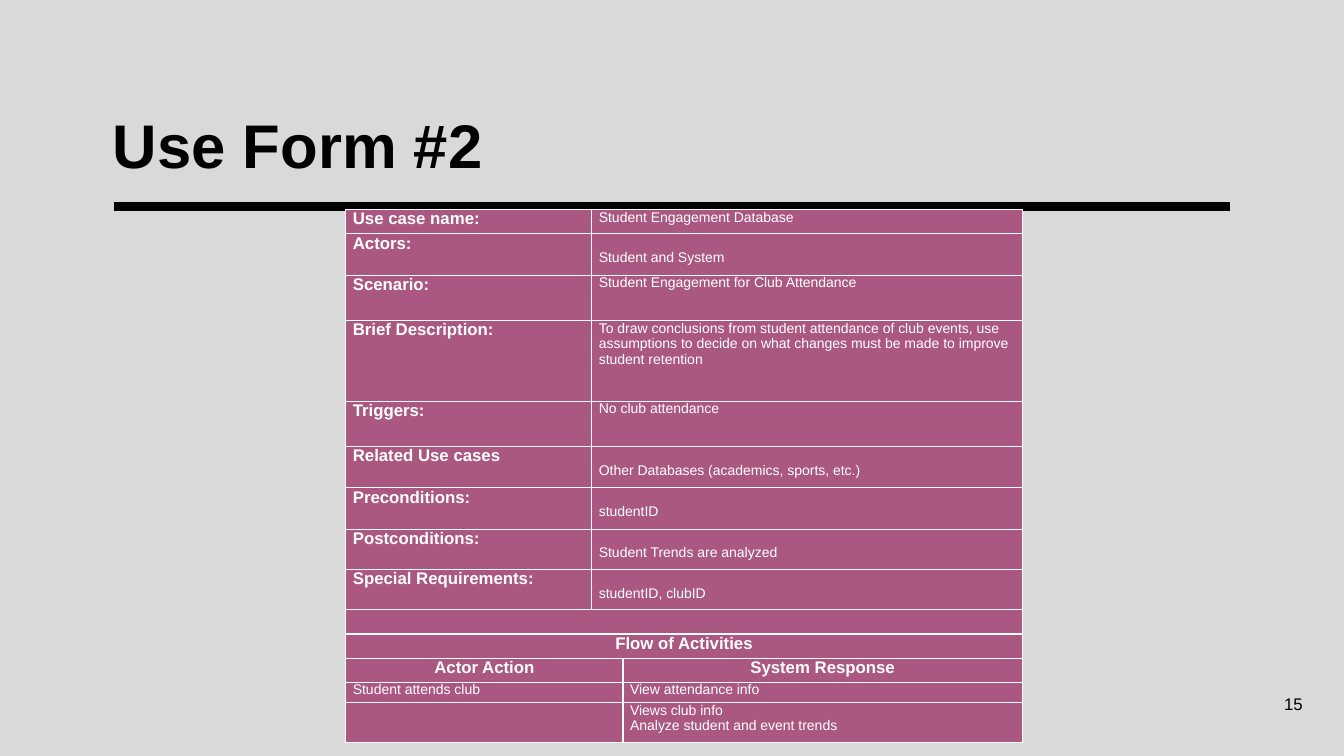
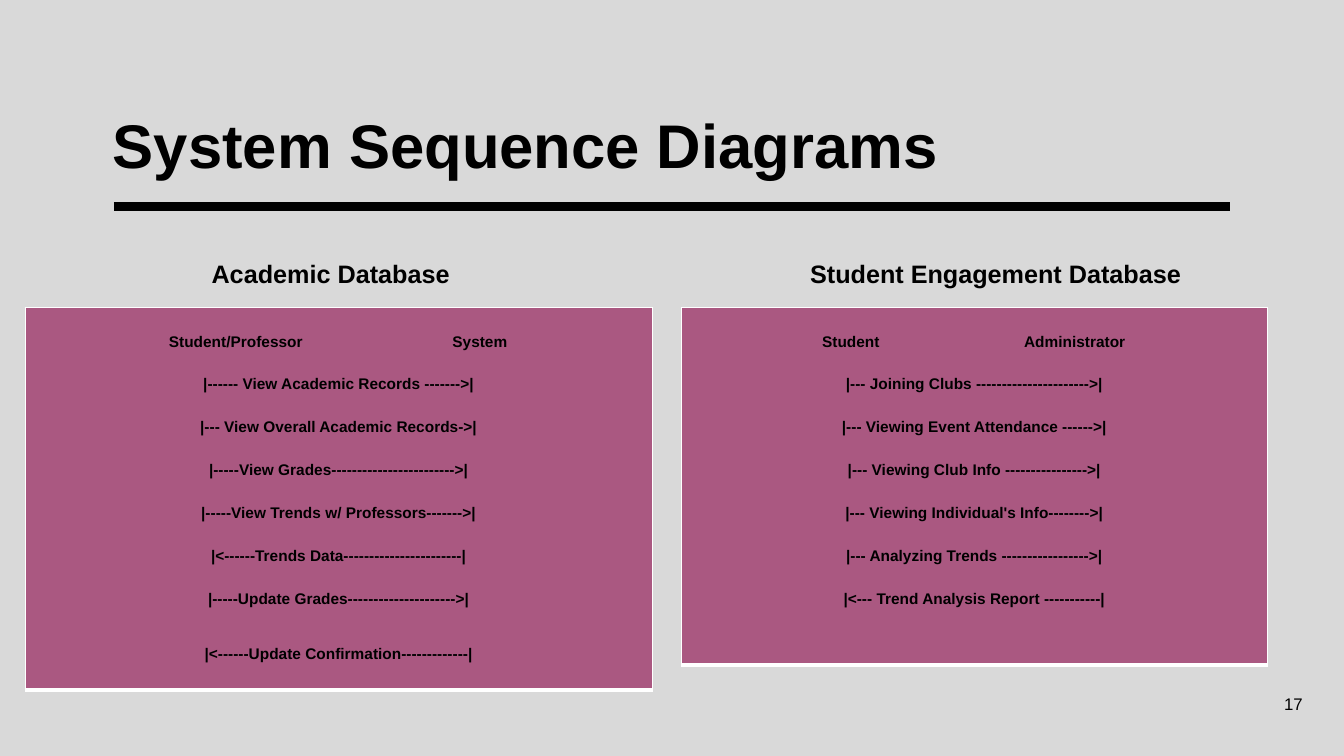
from dataclasses import dataclass
from enum import Enum

from lxml import etree
from pptx import Presentation
from pptx.dml.color import RGBColor
from pptx.enum.shapes import MSO_CONNECTOR
from pptx.enum.text import MSO_ANCHOR, MSO_AUTO_SIZE, PP_ALIGN
from pptx.oxml.ns import qn
from pptx.util import Inches, Pt

BACKGROUND = RGBColor(0xD9, 0xD9, 0xD9)
BLACK = RGBColor(0x00, 0x00, 0x00)
WHITE = RGBColor(0xFF, 0xFF, 0xFF)
PLUM = RGBColor(0xAA, 0x58, 0x81)
FONT = "Arial"
LINE_10PT = 0.16  # height of one line of small text, in inches


class Split(Enum):
    """Columns that a form row merges, first and last."""
    LABEL = (1, 2)
    FLOW = (0, 1)
    FULL = (0, 2)


@dataclass
class FormRow:
    height: float
    left: str
    right: str = ""
    split: Split = Split.LABEL
    drop: float = 0  # space above the right-hand text
    heading: bool = False


@dataclass
class Sequence:
    name: str
    name_left: float
    name_width: float
    left: float
    width: float
    actors: tuple[str, str]
    tabs: tuple[float, float]  # centres of the actor names
    messages: list[str]
    last_gap: float = 0


FORM_COLUMNS = (2.44, 0.31, 3.96)
FORM_ROWS = [
    FormRow(0.24, "Use case name:", "Student Engagement Database"),
    FormRow(0.41, "Actors:", "Student and System", drop=LINE_10PT),
    FormRow(0.45, "Scenario:", "Student Engagement for Club Attendance"),
    FormRow(0.8, "Brief Description:",
            "To draw conclusions from student attendance of club events, use "
            "assumptions to decide on what changes must be made to improve "
            "student retention"),
    FormRow(0.45, "Triggers:", "No club attendance"),
    FormRow(0.41, "Related Use cases",
            "Other Databases (academics, sports, etc.)", drop=LINE_10PT),
    FormRow(0.41, "Preconditions:", "studentID", drop=LINE_10PT),
    FormRow(0.4, "Postconditions:", "Student Trends are analyzed", drop=LINE_10PT),
    FormRow(0.4, "Special Requirements:", "studentID, clubID", drop=LINE_10PT),
    FormRow(0.24, "", split=Split.FULL),
    FormRow(0.24, "Flow of Activities", split=Split.FULL, heading=True),
    FormRow(0.24, "Actor Action", "System Response", Split.FLOW, heading=True),
    FormRow(0.2, "Student attends club", "View attendance info", Split.FLOW),
    FormRow(0.4, "", "Views club info\nAnalyze student and event trends", Split.FLOW),
]

SEQUENCES = [
    Sequence("Academic Database", 1.51, 3.54, 0.25, 6.22,
             ("Student/Professor", "System"), (2.02, 4.44), [
                 "|------ View Academic Records ------->|",
                 "|--- View Overall Academic Records->|",
                 "|-----View Grades------------------------>|",
                 "|-----View Trends w/ Professors------->|",
                 "|<------Trends Data-----------------------|",
                 "|-----Update Grades--------------------->|",
                 "|<------Update Confirmation-------------|",
             ], last_gap=9),
    Sequence("Student Engagement Database", 7.92, 3.91, 6.76, 5.81,
             ("Student", "Administrator"), (1.61, 3.83), [
                 "|--- Joining Clubs ---------------------->|",
                 "|--- Viewing Event Attendance ------>|",
                 "|--- Viewing Club Info ---------------->|",
                 "|--- Viewing Individual's Info-------->|",
                 "|--- Analyzing Trends ----------------->|",
                 "|<--- Trend Analysis Report -----------|",
             ]),
]


def style_text(tf, size: float, color: RGBColor, bold: bool = False,
               align: PP_ALIGN = PP_ALIGN.LEFT) -> None:
    for p in tf.paragraphs:
        p.alignment = align
        for r in p.runs:
            r.font.name = FONT
            r.font.size = Pt(size)
            r.font.bold = bold
            r.font.color.rgb = color


def add_label(s, text: str, left: float, top: float, width: float, height: float,
              size: float, align: PP_ALIGN, bold: bool = False):
    tf = s.shapes.add_textbox(Inches(left), Inches(top),
                              Inches(width), Inches(height)).text_frame
    tf.word_wrap = True
    tf.text = text
    style_text(tf, size, BLACK, bold, align)
    return tf


def add_slide(prs, title: str, title_width: float, number: int):
    """Slide with title, rule and page number."""
    s = prs.slides.add_slide(prs.slide_layouts[5])
    sp = s.shapes.title
    sp.left, sp.top = Inches(1.12), Inches(1.09)
    sp.width, sp.height = Inches(title_width), Inches(0.71)
    tf = sp.text_frame
    tf.text = title
    tf.auto_size = MSO_AUTO_SIZE.NONE
    tf.vertical_anchor = MSO_ANCHOR.BOTTOM
    tf.margin_left = tf.margin_right = tf.margin_top = tf.margin_bottom = 0
    tf.paragraphs[0].line_spacing = 0.9
    style_text(tf, 44, BLACK, bold=True)

    rule = s.shapes.add_connector(MSO_CONNECTOR.STRAIGHT, Inches(1.13), Inches(2.05),
                                  Inches(12.2), Inches(2.05))
    rule.line.color.rgb = BLACK
    rule.line.width = Pt(6)
    etree.SubElement(rule._element.spPr, qn("a:effectLst"))

    tf = add_label(s, str(number), 12.57, 6.88, 0.45, 0.2, 12, PP_ALIGN.RIGHT)
    tf.vertical_anchor = MSO_ANCHOR.MIDDLE
    return s


def set_borders(cell, bottom: float = 1) -> None:
    tc_pr = cell._tc.get_or_add_tcPr()
    widths = {"lnL": 1, "lnR": 1, "lnT": 1, "lnB": bottom}
    for i, (tag, width) in enumerate(widths.items()):
        ln = etree.Element(qn(f"a:{tag}"), w=str(Pt(width)))
        fill = etree.SubElement(ln, qn("a:solidFill"))
        etree.SubElement(fill, qn("a:srgbClr"), val=str(WHITE))
        tc_pr.insert(i, ln)


def add_plum_table(s, left: float, top: float, widths: list[float],
                   heights: list[float], bottom: float = 1):
    table = s.shapes.add_table(len(heights), len(widths), Inches(left), Inches(top),
                               Inches(sum(widths)), Inches(sum(heights))).table
    table.first_row = table.horz_banding = False
    for column, width in zip(table.columns, widths):
        column.width = Inches(width)
    for row, height in zip(table.rows, heights):
        row.height = Inches(height)
    for cell in table.iter_cells():
        cell.margin_left = cell.margin_right = Inches(0.07)
        cell.margin_top = cell.margin_bottom = 0
        cell.fill.solid()
        cell.fill.fore_color.rgb = PLUM
        set_borders(cell, bottom)
    return table


def fill_cell(cell, text: str, size: float, bold: bool, align: PP_ALIGN) -> None:
    if text:
        cell.text_frame.text = text
        style_text(cell.text_frame, size, WHITE, bold, align)
    else:
        # Keeps an empty row from growing to the default text size
        p = cell.text_frame.paragraphs[0]
        etree.SubElement(p._p, qn("a:endParaRPr"), sz=str(size * 100))


def add_form(s) -> None:
    table = add_plum_table(s, 3.43, 2.08, FORM_COLUMNS,
                           [row.height for row in FORM_ROWS])
    for i, row in enumerate(FORM_ROWS):
        for j in range(len(FORM_COLUMNS)):
            bold = row.heading or (j == 0 and row.split is Split.LABEL)
            right_column = 2 if row.split is Split.FLOW else 1
            text = {0: row.left, right_column: row.right}.get(j, "")
            fill_cell(table.cell(i, j), text, 12 if bold else 10, bold,
                      PP_ALIGN.CENTER if row.heading else PP_ALIGN.LEFT)
        table.cell(i, 1).margin_top = Inches(row.drop)
        first, last = row.split.value
        table.cell(i, first).merge(table.cell(i, last))


def add_sequence(s, seq: Sequence) -> None:
    add_label(s, seq.name, seq.name_left, 2.51, seq.name_width, 0.4, 18,
              PP_ALIGN.CENTER, bold=True)
    table = add_plum_table(s, seq.left, 3.05, [seq.width], [3.55], bottom=3)
    tf = table.cell(0, 0).text_frame
    tf.text = "\n".join(["\t" + "\t".join(seq.actors), *seq.messages])
    style_text(tf, 11, BLACK, True, PP_ALIGN.CENTER)
    for p in tf.paragraphs:
        p.line_spacing = 2.5
    if seq.last_gap:
        p.space_before = p.space_after = Pt(seq.last_gap)

    # Actor names stand on centred tab stops
    header = tf.paragraphs[0]
    header.alignment = PP_ALIGN.LEFT
    tab_list = etree.SubElement(header._p.get_or_add_pPr(), qn("a:tabLst"))
    for position in seq.tabs:
        etree.SubElement(tab_list, qn("a:tab"), pos=str(Inches(position)), algn="ctr")


def main() -> None:
    prs = Presentation()
    prs.slide_width, prs.slide_height = Inches(13.33), Inches(7.5)
    fill = prs.slide_master.background.fill
    fill.solid()
    fill.fore_color.rgb = BACKGROUND

    # Use case form
    add_form(add_slide(prs, "Use Form #2", 8.54, 15))

    # Sequence diagrams
    s = add_slide(prs, "System Sequence Diagrams", 9.24, 17)
    for seq in SEQUENCES:
        add_sequence(s, seq)

    prs.save("out.pptx")


if __name__ == "__main__":
    main()
